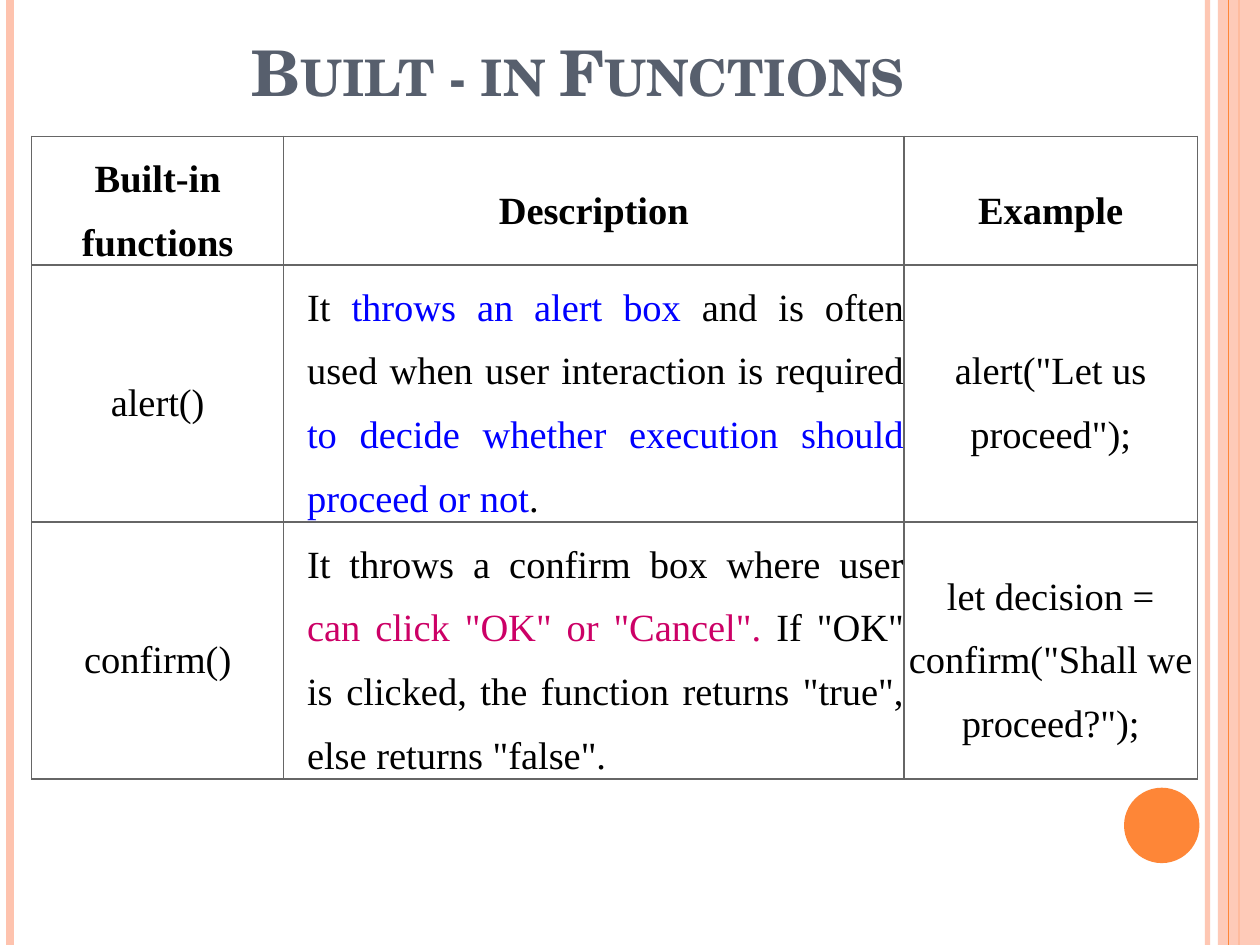
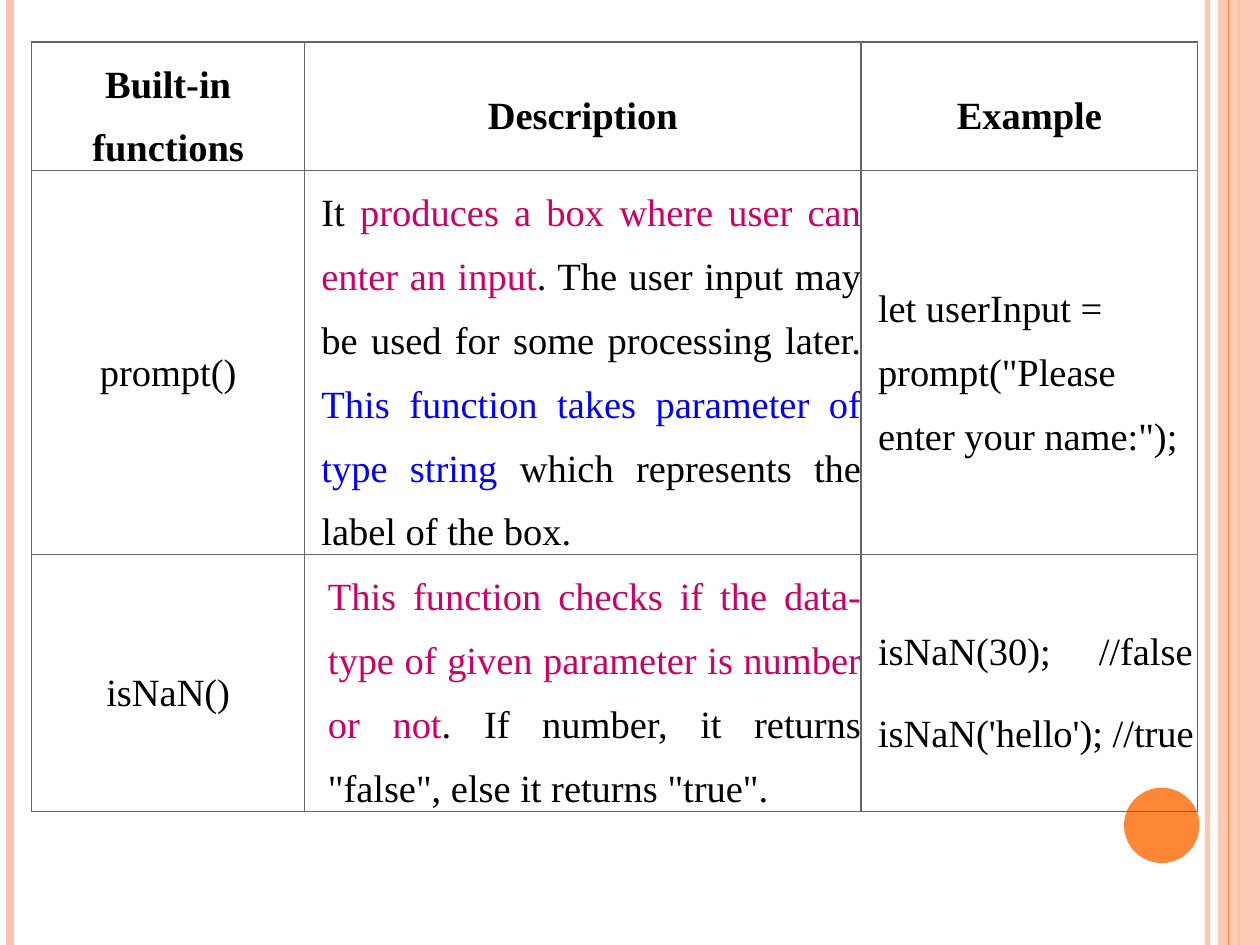
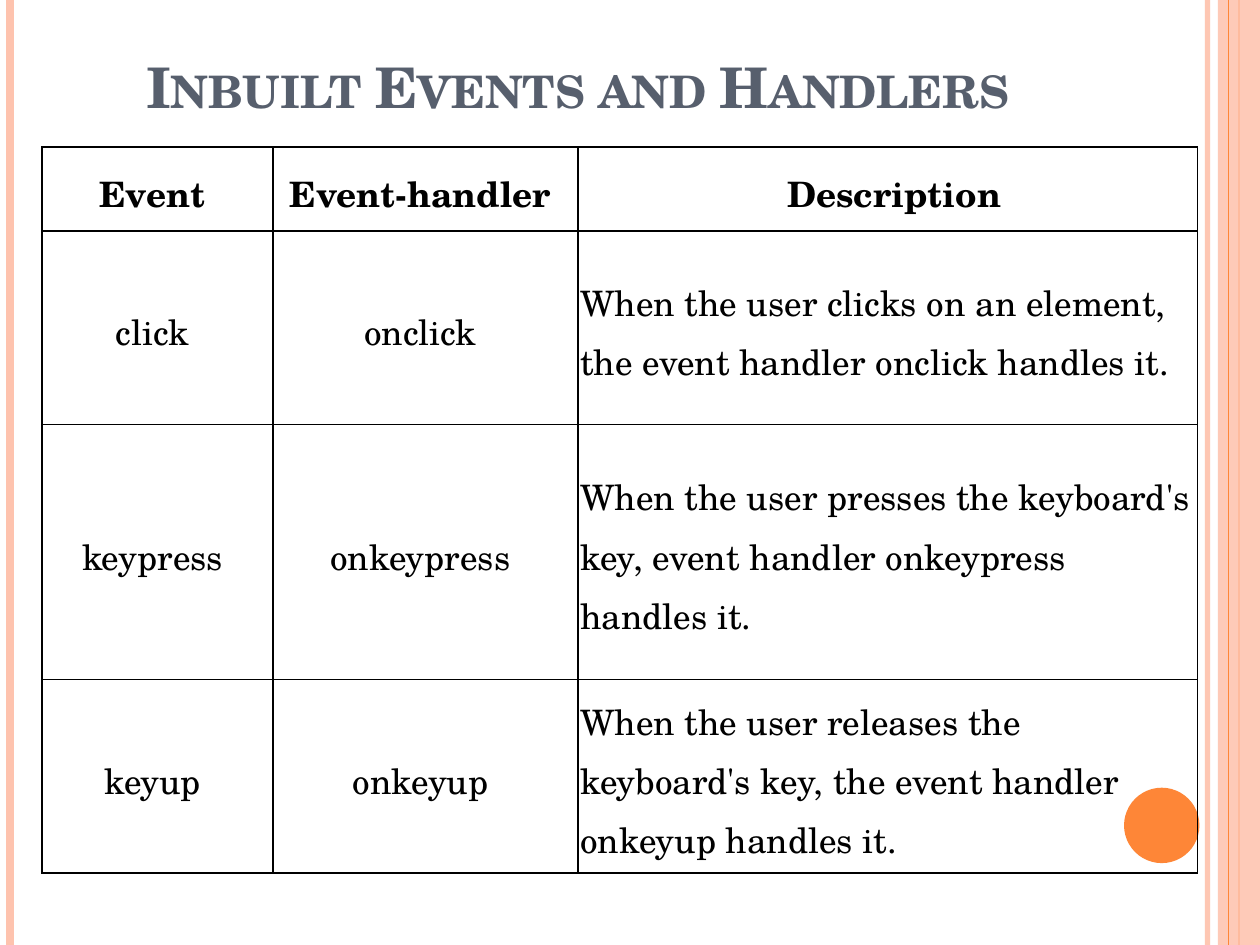
from dataclasses import dataclass

from lxml.etree import SubElement as Sub
from pptx import Presentation
from pptx.dml.color import RGBColor as Rgb
from pptx.enum.shapes import MSO_CONNECTOR as Link, MSO_SHAPE as Kind
from pptx.enum.text import MSO_ANCHOR as Anchor, MSO_AUTO_SIZE as Auto, PP_ALIGN as Align
from pptx.oxml.ns import qn
from pptx.util import Cm, Pt


@dataclass(frozen=True)
class Theme:
    serif: str = "Times New Roman"
    school: str = "TeX Gyre Schola"
    title: str = "575F6D"
    peach: str = "FEC3AE"
    orange: str = "FE8637"
    ink: str = "000000"
    gray: str = "666666"
    blue: str = "0000FF"
    pink: str = "CC0066"
    big: int = 36
    mid: int = 32
    text: int = 22
    small: int = 20


@dataclass(frozen=True)
class Box:
    x: float
    y: float
    w: float
    h: float


@dataclass(frozen=True)
class Look:
    """Text and border style of one table."""
    font: str
    size: int
    line: str
    space: float
    pad: float
    aligns: tuple


@dataclass(frozen=True)
class Cell:
    """Paragraphs, each a list of (text, colour) runs, with an inset."""
    paras: list
    left: float = 0
    tab: float = 0


T = Theme()
PAGE = Box(0, 0, 25.4, 19.05)
MID, FULL, LEFT = Align.CENTER, Align.JUSTIFY, Align.LEFT
FUNCS = Look(T.serif, T.text, T.gray, 1.5, 0, (MID, FULL, MID))
CALLS = Look(T.serif, T.text, T.gray, 1.5, 0, (MID, FULL, LEFT))
EVENTS = Look(T.school, T.small, T.ink, 1.15, 0.05, (MID, MID, LEFT))


def color(name):
    return Rgb.from_string(name)


def fade(shape, share):
    tint = shape._element.xpath(".//a:srgbClr")[0]
    Sub(tint, qn("a:alpha")).set("val", str(share * 1000))


# Bands and dot shared by all slides
def rule(slide, box, x, tint, width):
    line = slide.shapes.add_connector(
        Link.STRAIGHT, Cm(x), Cm(box.y), Cm(x), Cm(box.y + box.h))
    line.line.color.rgb = color(tint)
    line.line.width = Pt(width)
    Sub(line._element.spPr, qn("a:effectLst"))
    return line


def block(slide, kind, box, tint):
    shape = slide.shapes.add_shape(kind, Cm(box.x), Cm(box.y), Cm(box.w), Cm(box.h))
    shape.shadow.inherit = False
    shape.fill.solid()
    shape.fill.fore_color.rgb = color(tint)
    shape.line.fill.background()
    return shape


def frame(slide, box):
    end = box.x + box.w
    inner = rule(slide, box, end - 1.06, T.peach, 3)
    fade(inner, 93)
    outer = rule(slide, box, box.x + 0.21, T.peach, 4.5)
    edge = rule(slide, box, end - 0.42, T.orange, 1.5)
    band = block(slide, Kind.RECTANGLE, Box(end - 0.85, box.y, 0.85, box.h), T.peach)
    fade(band, 87)
    thin = rule(slide, box, end - 0.64, T.orange, 0.75)
    dot = block(slide, Kind.OVAL, Box(end - 2.74, box.y + 15.88, 1.52, 1.52), T.orange)
    return inner, outer, edge, band, thin, dot


def share(deck, parts):
    """Move the parts to the master, behind its placeholders."""
    tree = deck.slide_master.shapes._spTree
    for i, part in enumerate(parts):
        part._element.xpath(".//p:cNvPr")[0].set("id", str(20 + i))
        tree.insert(2 + i, part._element)


# Title in small capitals
def head(slide, box, text, size):
    shape = slide.shapes.title
    shape.left, shape.top = Cm(box.x), Cm(box.y)
    shape.width, shape.height = Cm(box.w), Cm(box.h)
    frame = shape.text_frame
    frame.auto_size = Auto.NONE
    frame.vertical_anchor = Anchor.BOTTOM
    frame.text = text
    para = frame.paragraphs[0]
    para.alignment = MID
    para.font.name, para.font.size, para.font.bold = T.school, Pt(size), True
    para.font.color.rgb = color(T.title)
    para.runs[0]._r.get_or_add_rPr().set("cap", "small")


# Table cells
def border(cell, tint):
    props = cell._tc.get_or_add_tcPr()
    for i, side in enumerate(("lnL", "lnR", "lnT", "lnB")):
        line = Sub(props, qn("a:" + side), w=str(Pt(1)))
        Sub(Sub(line, qn("a:solidFill")), qn("a:srgbClr")).set("val", tint)
        props.insert(i, line)


def write(para, runs, look, align, bold):
    para.alignment = align
    para.line_spacing, para.space_after = look.space, Pt(10)
    font = para.font
    font.name, font.size, font.bold = look.font, Pt(look.size), bold
    font.color.rgb = color(T.ink)
    for text, tint in runs:
        run = para.add_run()
        run.text = text
        if tint != T.ink:
            run.font.color.rgb = color(tint)


def stop(para, x):
    props = para._p.get_or_add_pPr()
    tabs = Sub(props, qn("a:tabLst"))
    Sub(tabs, qn("a:tab"), pos=str(Cm(x)), algn="l")
    props.find(qn("a:defRPr")).addprevious(tabs)


def fill(cell, data, look, align, bold):
    if isinstance(data, str):
        data = Cell([[(data, T.ink)]])
    cell.fill.background()
    border(cell, look.line)
    cell.vertical_anchor = Anchor.MIDDLE
    cell.margin_right = cell.margin_top = cell.margin_bottom = Cm(look.pad)
    cell.margin_left = Cm(look.pad + data.left)
    frame = cell.text_frame
    for i, runs in enumerate(data.paras):
        para = frame.add_paragraph() if i else frame.paragraphs[0]
        write(para, runs, look, align, bold)
        if data.tab:
            stop(para, data.tab)


def grid(slide, x, y, cols, rows, data, look):
    table = slide.shapes.add_table(
        len(rows), len(cols), Cm(x), Cm(y), Cm(sum(cols)), Cm(sum(rows))).table
    table.first_row = table.horz_banding = False
    for col, w in zip(table.columns, cols):
        col.width = Cm(w)
    for r, (row, h) in enumerate(zip(table.rows, rows)):
        row.height = Cm(h)
        for c, cell in enumerate(row.cells):
            align = look.aligns[c] if r else MID
            fill(cell, data[r][c], look, align, r == 0)


# Slide contents
TOP = ("Built-in functions", "Description", "Example")

BOXES = (
    TOP,
    ("alert()",
     Cell([[("It ", T.ink), ("throws an alert box ", T.blue),
            ("and is often used when user interaction is required ", T.ink),
            ("to decide whether execution should proceed or not", T.blue),
            (".", T.ink)]], 0.47),
     'alert("Let us proceed");'),
    ("confirm()",
     Cell([[("It throws a confirm box where user ", T.ink),
            ('can click "OK" or "Cancel". ', T.pink),
            ('If "OK" is clicked, the function returns "true", '
             'else returns "false".', T.ink)]], 0.47),
     'let decision = confirm("Shall we proceed?");'),
)

INPUTS = (
    TOP,
    ("prompt()",
     Cell([[("It ", T.ink),
            ("produces a box where user can enter an input", T.pink),
            (". The user input may be used for some processing later. ", T.ink),
            ("This function takes parameter of type string", T.blue),
            (" which represents the label of the box.", T.ink)]], 0.34),
     Cell([[('let userInput = prompt("Please enter your name:");', T.ink)]], 0.34)),
    ("isNaN()",
     Cell([[("This function checks if the data-type of given parameter "
             "is number or not", T.pink),
            ('. If number, it returns "false", else it returns "true".', T.ink)]],
          0.47),
     Cell([[("isNaN(30);\t//false", T.ink)],
           [("isNaN('hello'); //true", T.ink)]], 0.34, 4.45)),
)

HOOKS = (
    ("Event ", "Event-handler ", Cell([[("Description", T.ink)]], 0.26)),
    ("click ", "onclick ",
     "When the user clicks on an element, the event handler onclick handles it. "),
    ("keypress ", "onkeypress ",
     "When the user presses the keyboard's key, event "
     "handler onkeypress handles it. "),
    ("keyup ", "onkeyup ",
     "When the user releases the keyboard's key, the event "
     "handler onkeyup handles it. "),
)


def main():
    deck = Presentation()
    deck.slide_width, deck.slide_height = Cm(PAGE.w), Cm(PAGE.h)
    titled, blank = deck.slide_layouts[5], deck.slide_layouts[6]

    # Alert and confirm
    slide = deck.slides.add_slide(titled)
    share(deck, frame(slide, PAGE))
    head(slide, Box(1.27, 0.76, 20.75, 1.57), "Built - in Functions", T.big)
    grid(slide, 0.64, 2.75, (5.08, 12.5, 5.92), (2.59, 5.18, 5.18), BOXES, FUNCS)

    # Prompt and isNaN
    slide = deck.slides.add_slide(blank)
    grid(slide, 0.64, 0.85, (5.5, 11.22, 6.78), (2.59, 7.74, 5.18), INPUTS, CALLS)

    # Events
    slide = deck.slides.add_slide(titled)
    head(slide, Box(1.27, 0.76, 20.75, 1.78), "Inbuilt Events and Handlers", T.mid)
    grid(slide, 0.85, 2.96, (4.65, 6.15, 12.49), (1.7, 3.9, 5.14, 3.9), HOOKS, EVENTS)

    deck.save("out.pptx")


if __name__ == "__main__":
    main()
